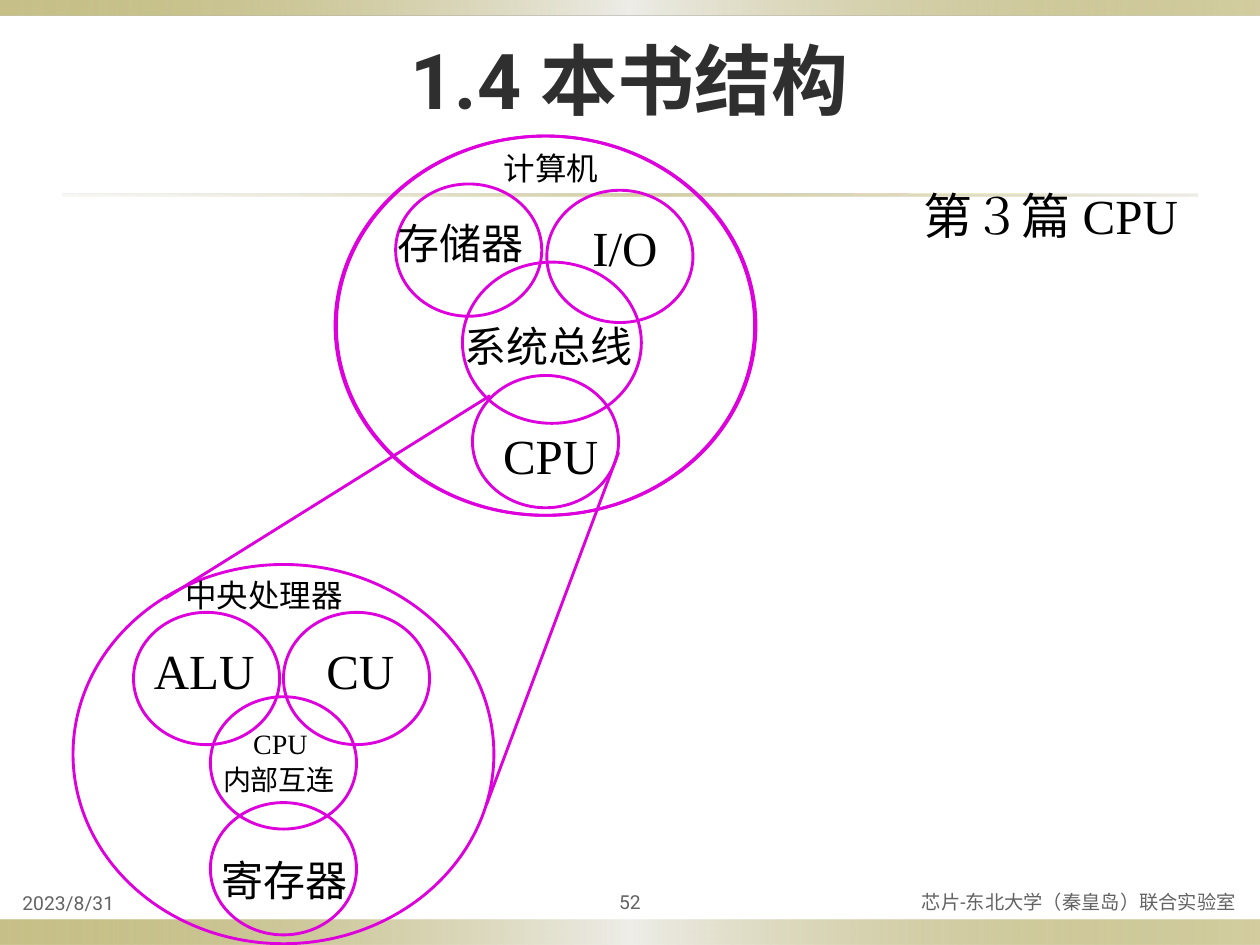
from lxml.etree import SubElement
from pptx import Presentation
from pptx.dml.color import RGBColor
from pptx.enum.shapes import MSO_CONNECTOR, MSO_SHAPE
from pptx.enum.text import MSO_ANCHOR, PP_ALIGN
from pptx.oxml.ns import qn
from pptx.util import Inches, Pt

MAGENTA = RGBColor(0xDD, 0x00, 0xDD)
BLACK = RGBColor(0x00, 0x00, 0x00)
CHARCOAL = RGBColor(0x2F, 0x2F, 0x2F)
GRAY = RGBColor(0x63, 0x63, 0x63)
OLIVE = RGBColor(0x91, 0x84, 0x15)
PALE = RGBColor(0xEE, 0xED, 0xE8)
SAND = RGBColor(0xDC, 0xD9, 0xCC)

SANS = "Roboto"
SERIF = "Times New Roman"
LINE_WIDTH = Pt(1.63)

BAND_STOPS = [(0, OLIVE, 50), (50, PALE, 100), (100, OLIVE, 40)]
RULE_STOPS = [(0, SAND, 20), (50, OLIVE, 40), (100, SAND, 50)]


class SlidePainter:
    def __init__(self, deck):
        self.slide = deck.slides.add_slide(deck.slide_layouts[5])

    def format_run(self, span, size, font, color, bold=False):
        span.font.size = Pt(size)
        span.font.bold = bold
        span.font.color.rgb = color
        span.font.name = font
        SubElement(span.font._element, qn("a:ea")).set("typeface", font)

    def title(self, text, left, top, width, height):
        box = self.slide.shapes.title
        box.left, box.top = Inches(left), Inches(top)
        box.width, box.height = Inches(width), Inches(height)
        frame = box.text_frame
        frame.text = text
        frame.vertical_anchor = MSO_ANCHOR.MIDDLE
        para = frame.paragraphs[0]
        para.alignment = PP_ALIGN.CENTER
        self.format_run(para.runs[0], 44, SANS, CHARCOAL, bold=True)

    def band(self, left, top, width, height, stops):
        shape = self.slide.shapes.add_shape(
            MSO_SHAPE.RECTANGLE, Inches(left), Inches(top), Inches(width), Inches(height))
        shape.shadow.inherit = False
        shape.line.fill.background()
        shape.fill.gradient()
        shape.fill.gradient_angle = 0
        stop_list = shape._element.spPr.find(".//" + qn("a:gsLst"))
        stop_list.clear()
        for position, color, opacity in stops:
            stop = SubElement(stop_list, qn("a:gs"), pos=str(position * 1000))
            tone = SubElement(stop, qn("a:srgbClr"), val=str(color))
            SubElement(tone, qn("a:alpha"), val=str(opacity * 1000))

    def circle(self, left, top, width, height):
        shape = self.slide.shapes.add_shape(
            MSO_SHAPE.OVAL, Inches(left), Inches(top), Inches(width), Inches(height))
        shape.shadow.inherit = False
        shape.fill.background()
        shape.line.color.rgb = MAGENTA
        shape.line.width = LINE_WIDTH

    def line(self, start_x, start_y, end_x, end_y):
        connector = self.slide.shapes.add_connector(
            MSO_CONNECTOR.STRAIGHT,
            Inches(start_x), Inches(start_y), Inches(end_x), Inches(end_y))
        connector.line.color.rgb = MAGENTA
        connector.line.width = LINE_WIDTH
        SubElement(connector._element.spPr, qn("a:effectLst"))

    def text(self, spans, left, top, width, height, size, color=BLACK,
             align=PP_ALIGN.CENTER, anchor=MSO_ANCHOR.TOP, inset=(0, 0), wrap=False):
        box = self.slide.shapes.add_textbox(
            Inches(left), Inches(top), Inches(width), Inches(height))
        frame = box.text_frame
        frame.word_wrap = wrap
        frame.vertical_anchor = anchor
        frame.margin_left = frame.margin_right = Inches(inset[0])
        frame.margin_top = frame.margin_bottom = Inches(inset[1])
        para = frame.paragraphs[0]
        para.alignment = align
        for words, font in spans:
            span = para.add_run()
            span.text = words
            self.format_run(span, size, font, color)


def draw_frame(painter):
    painter.band(0, 7.3, 10, 0.2, BAND_STOPS)
    painter.band(0, 0, 10, 0.12, BAND_STOPS)
    painter.band(0.5, 1.54, 9, 0.02, RULE_STOPS)
    painter.title("1.4 本书结构", 0.75, 0, 8.5, 1.25)
    footers = [
        ("2023/8/31", 0.08, 3.5, PP_ALIGN.LEFT, MSO_ANCHOR.BOTTOM, 0.1),
        ("芯片-东北大学（秦皇岛）联合实验室", 5.83, 4.08, PP_ALIGN.RIGHT, MSO_ANCHOR.MIDDLE, 0.1),
        ("52", 4.5, 1, PP_ALIGN.CENTER, MSO_ANCHOR.MIDDLE, 0.05),
    ]
    for words, left, width, align, anchor, side in footers:
        painter.text([(words, SANS)], left, 7, width, 0.31, 11, GRAY,
                     align, anchor, (side, 0.05), True)


def draw_processor(painter):
    for left, top in [(1.67, 5.53), (1.06, 4.86), (2.25, 4.86), (1.67, 6.37)]:
        painter.circle(left, top, 1.16, 1.05)
    painter.circle(0.58, 4.48, 3.34, 3.01)
    painter.text([("CPU", SERIF)], 2.01, 5.77, 1.41, 0.27, 16, align=PP_ALIGN.LEFT)
    painter.text([("内部互连", SANS)], 1.77, 6.05, 1.05, 0.27, 16, align=PP_ALIGN.LEFT)
    painter.text([("ALU", SERIF)], 1.21, 5.08, 0.82, 0.47, 28)
    painter.text([("CU", SERIF)], 2.58, 5.08, 0.56, 0.47, 28)
    painter.text([("寄存器", SANS)], 1.75, 6.78, 1.01, 0.4, 24)
    painter.text([("中央处理器", SANS)], 1.47, 4.57, 2.62, 0.3, 18, align=PP_ALIGN.LEFT)


def draw_computer(painter):
    for left in (2.66, 2.67):
        painter.circle(left, 1.08, 3.33, 3.01)
    painter.circle(3.67, 2.08, 1.42, 1.28)
    for left, top in [(3.14, 1.46), (4.34, 1.51), (3.75, 2.98)]:
        painter.circle(left, top, 1.16, 1.05)
    painter.text([("计算机", SANS)], 4, 1.18, 0.76, 0.3, 18, align=PP_ALIGN.LEFT)
    painter.text([("I/O", SERIF)], 4.55, 1.73, 0.82, 0.47, 28)
    painter.text([("系统总线", SANS)], 3.68, 2.54, 1.35, 0.4, 24)
    painter.text([("存储器", SANS)], 3.15, 1.73, 1.01, 0.4, 24)
    painter.text([("CPU", SERIF)], 3.97, 3.38, 0.8, 0.47, 28)


def main():
    deck = Presentation()
    deck.slide_width, deck.slide_height = Inches(10), Inches(7.5)
    painter = SlidePainter(deck)
    draw_frame(painter)
    draw_processor(painter)
    painter.line(3.89, 3.14, 1.31, 4.75)
    painter.line(4.91, 3.59, 3.86, 6.39)
    painter.text([("第", SANS), ("３", SERIF), ("篇 ", SANS), ("CPU", SERIF)],
                 6.68, 1.42, 3.32, 0.57, 28, inset=(0.1, 0.05), wrap=True)
    draw_computer(painter)
    deck.save("out.pptx")


if __name__ == "__main__":
    main()
